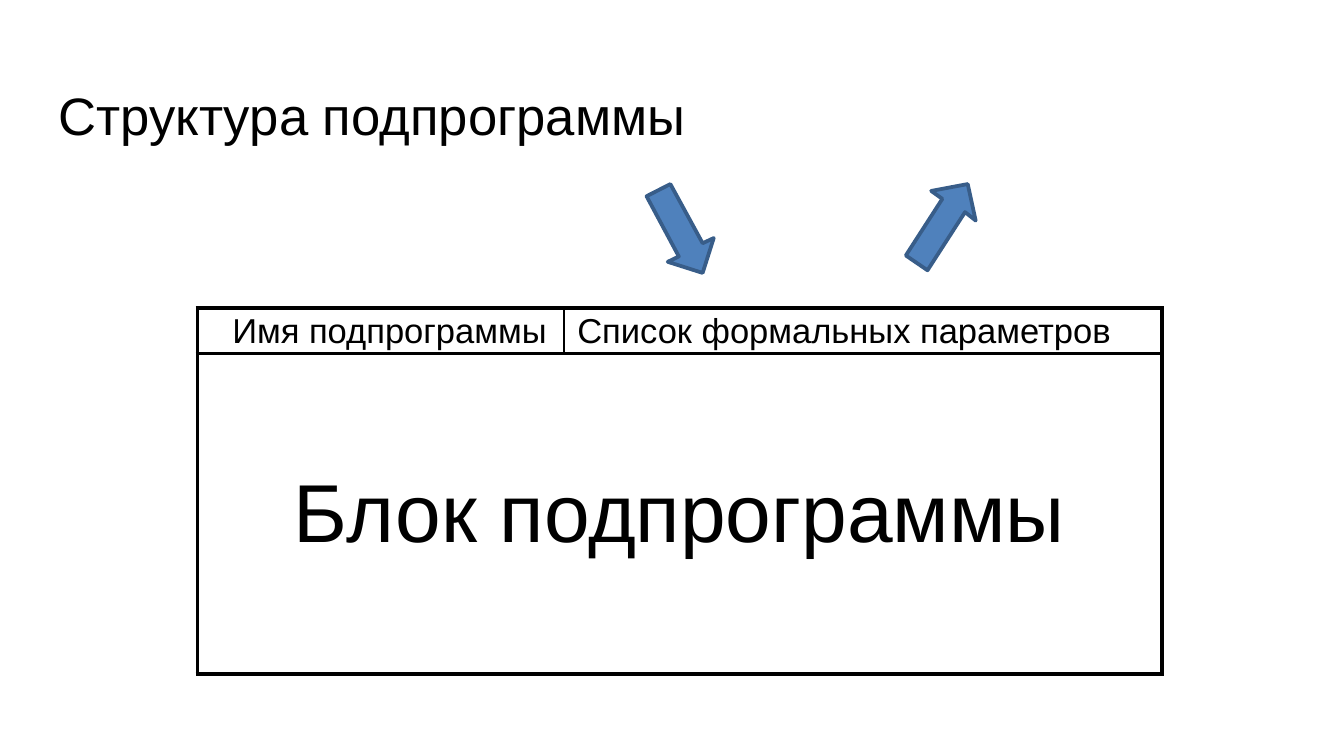
from lxml import etree
from pptx import Presentation
from pptx import util as u
from pptx.dml import color
from pptx.enum import text
from pptx.oxml import ns

BLACK, BLUE, NAVY = "000000", "4F81BC", "385D89"
THIN, THICK = 1.5, 2.25
DOWN = [(12.67, 3.48), (12.22, 3.71), (12.83, 4.85), (12.62, 4.95),
        (13.28, 5.16), (13.49, 4.5), (13.28, 4.6)]
UP = [(18.29, 3.48), (17.6, 3.61), (17.81, 3.76), (17.12, 4.83),
      (17.53, 5.11), (18.24, 4.01), (18.44, 4.17)]


def rgb(code):
    """Turn a hex string into a colour."""
    return color.RGBColor.from_string(code)


def add_run(par, words, size):
    """Add one black Arial run to a paragraph."""
    run = par.add_run()
    run.text = words
    run.font.name = "Arial"
    run.font.size = u.Pt(size)
    run.font.color.rgb = rgb(BLACK)


def add_title(slide, words):
    """Add the heading of the slide."""
    box = slide.shapes.add_textbox(u.Cm(0.86), u.Cm(1.24), u.Cm(23.67), u.Cm(1.6))
    frame = box.text_frame
    frame.word_wrap = True
    frame.margin_left = frame.margin_right = frame.margin_bottom = u.Cm(0.25)
    frame.margin_top = u.Cm(0.33)
    add_run(frame.paragraphs[0], words, 28.2)


def set_lines(cell, left, right, top, base):
    """Draw the four borders of a cell, widths in points."""
    props = cell._tc.get_or_add_tcPr()
    widths = {"L": left, "R": right, "T": top, "B": base}
    for spot, (side, width) in enumerate(widths.items()):
        line = etree.Element(ns.qn("a:ln" + side), w=str(int(u.Pt(width))))
        fill = etree.SubElement(line, ns.qn("a:solidFill"))
        etree.SubElement(fill, ns.qn("a:srgbClr"), val=BLACK)
        props.insert(spot, line)


def fill_cell(cell, words, size, left, top):
    """Write a cell's text with its left and top margins in centimetres."""
    cell.margin_left, cell.margin_top = u.Cm(left), u.Cm(top)
    cell.margin_right = cell.margin_bottom = 0
    add_run(cell.text_frame.paragraphs[0], words, size)


def add_grid(slide):
    """Add the table of name, parameters and block."""
    cols, rows = (6.93, 11.3), (0.81, 6.05)
    grid = slide.shapes.add_table(2, 2, u.Cm(3.73), u.Cm(5.82),
                                  u.Cm(sum(cols)), u.Cm(sum(rows))).table
    grid.first_row = grid.horz_banding = False
    for col, width in zip(grid.columns, cols):
        col.width = u.Cm(width)
    for row, height in zip(grid.rows, rows):
        row.height = u.Cm(height)
    name, params = grid.cell(0, 0), grid.cell(0, 1)
    block, rest = grid.cell(1, 0), grid.cell(1, 1)
    block.merge(rest)
    fill_cell(name, "Имя подпрограммы", 18.5, 0.66, 0.08)
    fill_cell(params, "Список формальных параметров", 18.5, 0.25, 0.08)
    fill_cell(block, "Блок подпрограммы", 44, 0, 0.03)
    block.vertical_anchor = text.MSO_ANCHOR.MIDDLE
    block.text_frame.paragraphs[0].alignment = text.PP_ALIGN.CENTER
    for cell in (name, params, block, rest):
        cell.fill.background()
    set_lines(name, THICK, THIN, THICK, THIN)
    set_lines(params, THIN, THICK, THICK, THIN)
    for cell in (block, rest):
        set_lines(cell, THICK, THICK, THIN, THICK)


def add_arrow(slide, spots):
    """Add a slanted block arrow through points in centimetres."""
    first, *others = [(u.Cm(x), u.Cm(y)) for x, y in spots]
    pen = slide.shapes.build_freeform(*first)
    pen.add_line_segments(others, close=True)
    arrow = pen.convert_to_shape()
    arrow.shadow.inherit = False
    arrow.fill.solid()
    arrow.fill.fore_color.rgb = rgb(BLUE)
    arrow.line.color.rgb = rgb(NAVY)
    arrow.line.width = u.Pt(2)


def main():
    """Build and save the slide."""
    deck = Presentation()
    deck.slide_width, deck.slide_height = u.Cm(25.4), u.Cm(14.29)
    slide = deck.slides.add_slide(deck.slide_layouts[6])
    add_title(slide, "Структура подпрограммы")
    add_grid(slide)
    for spots in (DOWN, UP):
        add_arrow(slide, spots)
    deck.save("out.pptx")


if __name__ == "__main__":
    main()
